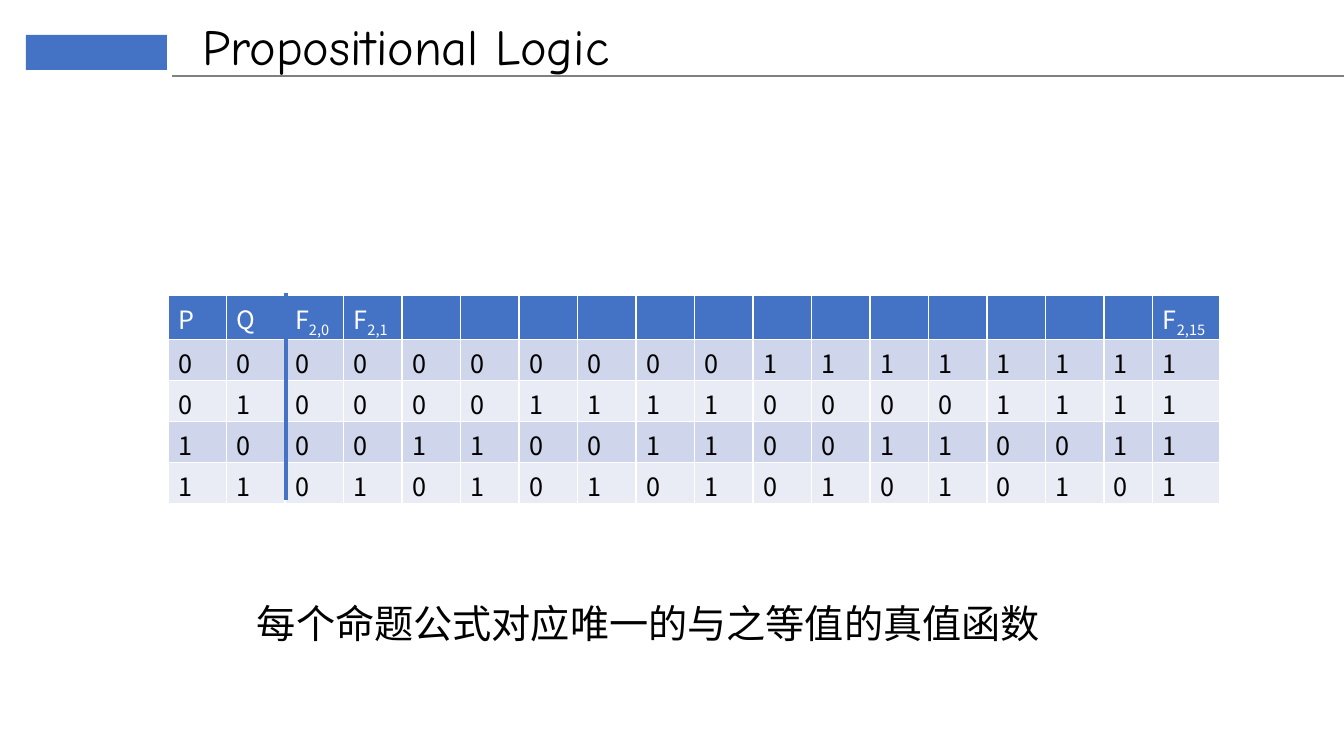
from lxml.etree import SubElement
from pptx import Presentation
from pptx.dml.color import RGBColor
from pptx.enum.shapes import MSO_CONNECTOR, MSO_SHAPE
from pptx.enum.text import MSO_ANCHOR, MSO_AUTO_SIZE, PP_ALIGN
from pptx.oxml.ns import qn
from pptx.util import Emu, Pt

TITLE = "Propositional Logic"
CONCLUSION = "每个命题公式对应唯一的与之等值的真值函数"
# Column heading: (letter, subscript)
HEADINGS = {0: ("P", ""), 1: ("Q", ""), 2: ("F", "2,0"), 3: ("F", "2,1"), 17: ("F", "2,15")}
INPUTS = [(0, 0), (0, 1), (1, 0), (1, 1)]
FUNCTION_COUNT = 16

BLUE, BLACK, WHITE, GREY = "4472C4", "000000", "FFFFFF", "808080"
BANDS = ["CFD5EA", "E9EBF5"]
CJK_FONT = "Noto Sans CJK SC"

SLIDE_SIZE = (1344, 756)
CORNER_BLOCK = (26, 35, 141, 35)
TITLE_BOX = (192, 10, 635, 72)
CONCLUSION_BOX = (247, 594, 884, 57)
TABLE_LEFT, TABLE_TOP, ROW_HEIGHT = 168, 295, 41
EQUAL_COLUMNS, EQUAL_WIDTH = 16, 936
LAST_WIDTHS = [49, 67]


def px(length):
    return Emu(round(length * 914400 / 100.8))


def color(hex_string):
    return RGBColor.from_string(hex_string)


def add_run(paragraph, text, size, font, hex_string):
    run = paragraph.add_run()
    run.text = text
    run.font.size = Pt(size)
    run.font.name = font
    run.font.color.rgb = color(hex_string)
    properties = run.font._element
    SubElement(properties, qn("a:ea")).set("typeface", font)
    return properties


def fill_text_shape(shape, text, size, font, hex_string):
    frame = shape.text_frame
    frame.word_wrap = True
    frame.auto_size = MSO_AUTO_SIZE.SHAPE_TO_FIT_TEXT
    frame.vertical_anchor = MSO_ANCHOR.TOP
    paragraph = frame.paragraphs[0]
    paragraph.alignment = PP_ALIGN.LEFT
    add_run(paragraph, text, size, font, hex_string)


def add_line(slide, start, end, hex_string, width):
    line = slide.shapes.add_connector(MSO_CONNECTOR.STRAIGHT, *map(px, start + end))
    line.line.color.rgb = color(hex_string)
    line.line.width = Pt(width)
    SubElement(line._element.spPr, qn("a:effectLst"))


def style_cell(cell, fill):
    properties = cell._tc.get_or_add_tcPr()
    for side in ("lnL", "lnR", "lnT", "lnB"):
        border = SubElement(properties, qn(f"a:{side}"), w=str(Pt(1)))
        solid = SubElement(border, qn("a:solidFill"))
        SubElement(solid, qn("a:srgbClr"), val=WHITE)
    cell.fill.solid()
    cell.fill.fore_color.rgb = color(fill)


def add_truth_table(slide):
    widths = [EQUAL_WIDTH / EQUAL_COLUMNS] * EQUAL_COLUMNS + LAST_WIDTHS
    row_count = len(INPUTS) + 1
    table = slide.shapes.add_table(
        row_count, len(widths), px(TABLE_LEFT), px(TABLE_TOP),
        px(sum(widths)), px(ROW_HEIGHT * row_count)).table
    for column, width in zip(table.columns, widths):
        column.width = px(width)
    for row in table.rows:
        row.height = px(ROW_HEIGHT)

    for index in range(len(widths)):
        cell = table.cell(0, index)
        style_cell(cell, BLUE)
        if index in HEADINGS:
            letter, subscript = HEADINGS[index]
            paragraph = cell.text_frame.paragraphs[0]
            add_run(paragraph, letter, 18, CJK_FONT, WHITE)
            if subscript:
                add_run(paragraph, subscript, 18, CJK_FONT, WHITE).set("baseline", "-25000")

    for row_index, inputs in enumerate(INPUTS):
        # Function n has the binary digits of n as its values, highest digit first.
        shift = len(INPUTS) - 1 - row_index
        outputs = [number >> shift & 1 for number in range(FUNCTION_COUNT)]
        for index, value in enumerate([*inputs, *outputs]):
            cell = table.cell(row_index + 1, index)
            style_cell(cell, BANDS[row_index % 2])
            add_run(cell.text_frame.paragraphs[0], str(value), 18, CJK_FONT, BLACK)


def main():
    presentation = Presentation()
    presentation.slide_width, presentation.slide_height = map(px, SLIDE_SIZE)
    slide = presentation.slides.add_slide(presentation.slide_layouts[5])

    block = slide.shapes.add_shape(MSO_SHAPE.RECTANGLE, *map(px, CORNER_BLOCK))
    block.shadow.inherit = False
    block.fill.solid()
    block.fill.fore_color.rgb = color(BLUE)
    block.line.fill.background()
    add_line(slide, (172, 76), (1344, 76), GREY, 2)

    title = slide.shapes.title
    title.left, title.top, title.width, title.height = map(px, TITLE_BOX)
    fill_text_shape(title, TITLE, 36, "Comic Neue", BLACK)

    add_truth_table(slide)
    add_line(slide, (286, 293), (286, 500), BLUE, 2.25)
    conclusion = slide.shapes.add_textbox(*map(px, CONCLUSION_BOX))
    fill_text_shape(conclusion, CONCLUSION, 28, CJK_FONT, BLACK)
    presentation.save("out.pptx")


if __name__ == "__main__":
    main()
